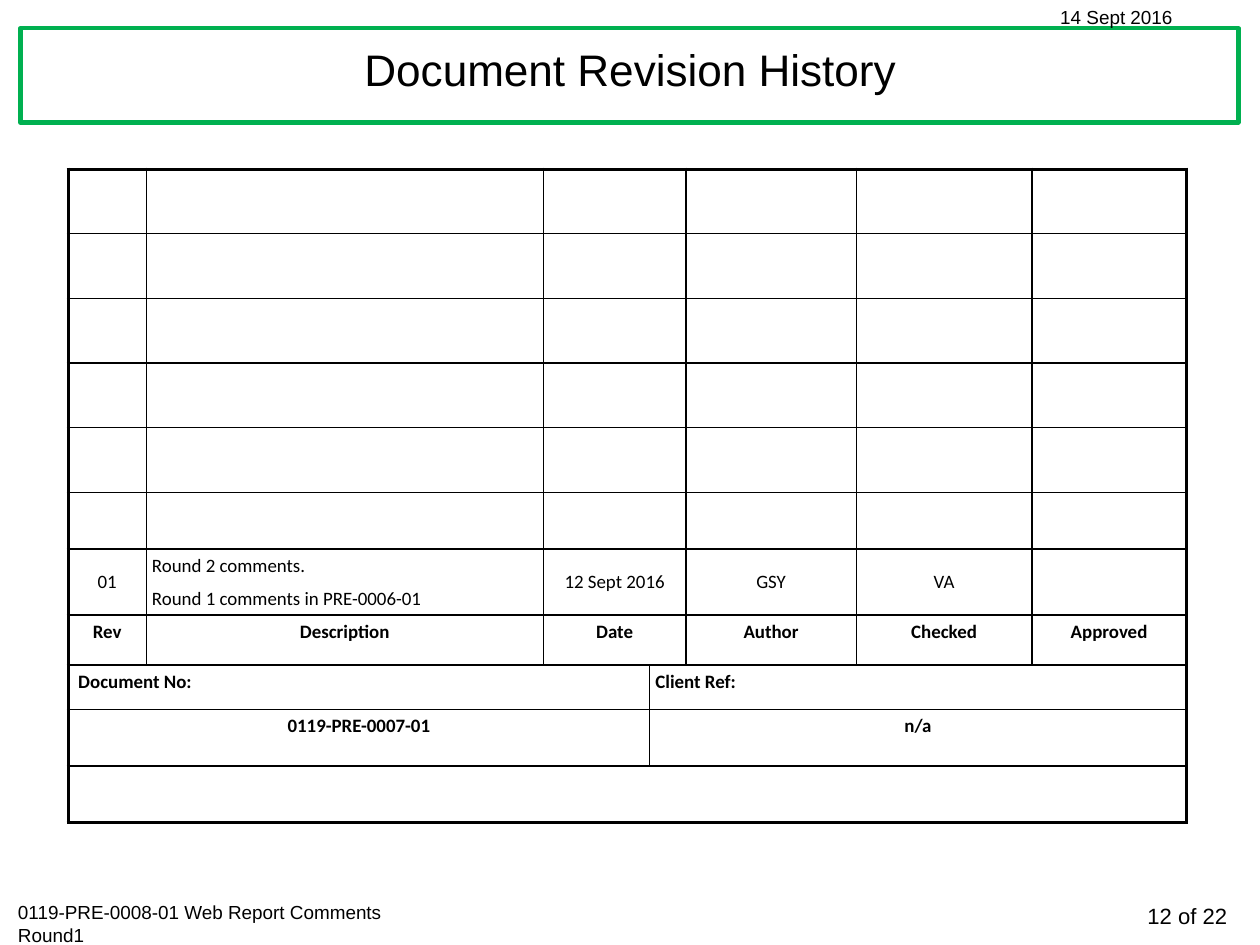
from lxml.etree import SubElement
from pptx import Presentation
from pptx.dml.color import RGBColor
from pptx.enum.shapes import MSO_SHAPE
from pptx.enum.text import MSO_ANCHOR, MSO_AUTO_SIZE, PP_ALIGN
from pptx.oxml.ns import qn
from pptx.util import Inches, Pt

BLACK, WHITE, GREEN = "000000", "FFFFFF", "00B050"
COLUMN_WIDTHS = [0.69, 3.5, 0.94, 0.32, 1.5, 1.55, 1.36]
ROW_HEIGHTS = [0.57] * 5 + [0.5, 0.58, 0.44, 0.39, 0.5, 0.5]
REVISION_ROW, HEADING_ROW, LABEL_ROW, NUMBER_ROW, BOTTOM_ROW = range(6, 11)
LAST_COLUMN = len(COLUMN_WIDTHS) - 1
REVISION_SPANS = [(0, 0), (1, 1), (2, 3), (4, 4), (5, 5), (6, 6)]
REFERENCE_SPANS = [(0, 2), (3, 6)]
ROW_TEXTS = {
    REVISION_ROW: ["01", "Round 2 comments.\nRound 1 comments in PRE-0006-01",
                   "12 Sept 2016", "GSY", "VA", ""],
    HEADING_ROW: ["Rev", "Description", "Date", "Author", "Checked", "Approved"],
    LABEL_ROW: ["Document No:", "Client Ref:"],
    NUMBER_ROW: ["0119-PRE-0007-01", "n/a"],
}


def color(value):
    return RGBColor.from_string(value)


def style_font(font, name, size, bold=False):
    font.name = name
    font.size = Pt(size)
    font.bold = bold
    font.color.rgb = color(BLACK)


def add_label(page, text, left, top, width, height, size, align=PP_ALIGN.LEFT):
    box = page.shapes.add_textbox(Inches(left), Inches(top), Inches(width), Inches(height))
    box.text_frame.word_wrap = True
    para = box.text_frame.paragraphs[0]
    para.text = text
    para.alignment = align
    style_font(para.runs[0].font, "Arial", size)


def add_heading(page, left, top, width, height):
    frame = page.shapes.add_shape(MSO_SHAPE.RECTANGLE, Inches(left), Inches(top),
                                  Inches(width), Inches(height))
    frame.shadow.inherit = False
    frame.fill.solid()
    frame.fill.fore_color.rgb = color(WHITE)
    frame.line.color.rgb = color(GREEN)
    frame.line.width = Pt(2.75)

    title = page.shapes.title
    title.left, title.top = Inches(left + 0.03), Inches(top)
    title.width, title.height = Inches(width - 0.05), Inches(height - 0.05)
    title.text_frame.text = "Document Revision History"
    title.text_frame.auto_size = MSO_AUTO_SIZE.NONE
    title.text_frame.vertical_anchor = MSO_ANCHOR.MIDDLE
    para = title.text_frame.paragraphs[0]
    para.alignment = PP_ALIGN.CENTER
    para.line_spacing = 0.9
    style_font(para.runs[0].font, "Arial", 28)
    frame.element.addnext(title.element)


def set_borders(cell, row, first, last):
    outer_edges = {
        "a:lnL": first == 0,
        "a:lnR": last == LAST_COLUMN,
        "a:lnT": row == 0,
        "a:lnB": row == BOTTOM_ROW,
    }
    properties = cell._tc.get_or_add_tcPr()
    for tag, outer in outer_edges.items():
        line = SubElement(properties, qn(tag), w=str(Pt(2.25 if outer else 1)))
        fill = SubElement(line, qn("a:solidFill"))
        SubElement(fill, qn("a:srgbClr"), val=BLACK)


def fill_cell(cell, row, first, text):
    cell.margin_left = cell.margin_right = Inches(0.05)
    cell.margin_top = cell.margin_bottom = Inches(0.05)
    if row == LABEL_ROW and first == 0:
        cell.margin_left = Inches(0.09)
    if row == REVISION_ROW:
        cell.vertical_anchor = MSO_ANCHOR.MIDDLE
    left_aligned = row == LABEL_ROW or (row == REVISION_ROW and first == 1)
    cell.text_frame.text = text
    for index, para in enumerate(cell.text_frame.paragraphs):
        para.alignment = PP_ALIGN.LEFT if left_aligned else PP_ALIGN.CENTER
        if index:
            para.space_before = Pt(6)
        for span in para.runs:
            style_font(span.font, "Calibri", 12, bold=row != REVISION_ROW)


def row_spans(row):
    if row == BOTTOM_ROW:
        return [(0, LAST_COLUMN)]
    return REFERENCE_SPANS if row in (LABEL_ROW, NUMBER_ROW) else REVISION_SPANS


def add_revision_table(page, left, top, width, height):
    table = page.shapes.add_table(len(ROW_HEIGHTS), len(COLUMN_WIDTHS), Inches(left),
                                  Inches(top), Inches(width), Inches(height)).table
    table.first_row = table.horz_banding = False
    for column, column_width in zip(table.columns, COLUMN_WIDTHS):
        column.width = Inches(column_width)
    for row, row_height in enumerate(ROW_HEIGHTS):
        table.rows[row].height = Inches(row_height)
        spans = row_spans(row)
        texts = ROW_TEXTS.get(row, [""] * len(spans))
        for (first, last), text in zip(spans, texts):
            cell = table.cell(row, first)
            if last > first:
                cell.merge(table.cell(row, last))
            set_borders(cell, row, first, last)
            cell.fill.background()
            if text:
                fill_cell(cell, row, first, text)


def add_page_labels(page, width, height):
    add_label(page, "12 of 22", width - 1.71, height - 0.42, 1.52, 0.34, 14, PP_ALIGN.RIGHT)
    add_label(page, "0119-PRE-0008-01 Web Report Comments Round1",
              0.06, height - 0.44, 3.99, 0.5, 12)
    add_label(page, "14 Sept 2016", width - 1.86, 0, 1.68, 0.3, 12)


def main():
    deck = Presentation()
    deck.slide_width, deck.slide_height = Inches(11.11), Inches(8.33)
    page = deck.slides.add_slide(deck.slide_layouts[5])
    add_heading(page, 0.18, 0.25, 10.74, 0.83)
    add_page_labels(page, 11.11, 8.33)
    add_revision_table(page, 0.6, 1.49, sum(COLUMN_WIDTHS), sum(ROW_HEIGHTS))
    deck.save("out.pptx")


if __name__ == "__main__":
    main()
